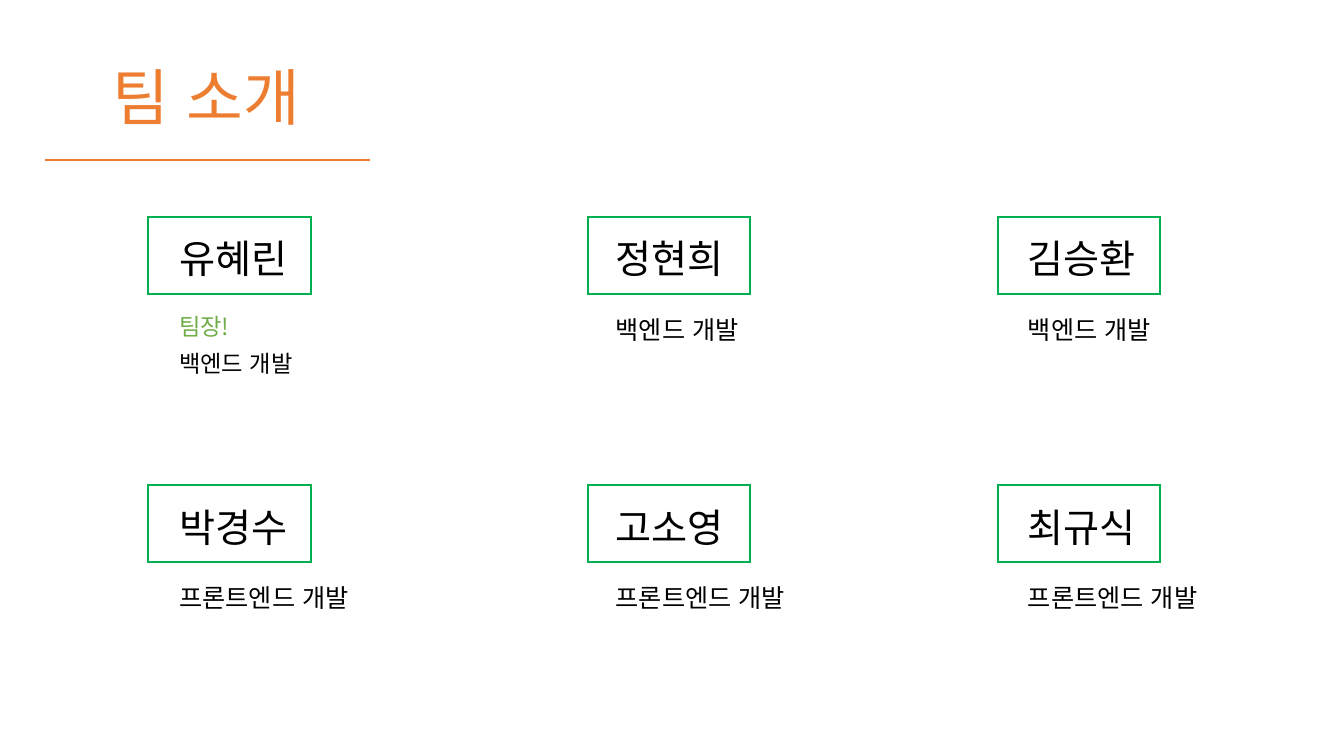
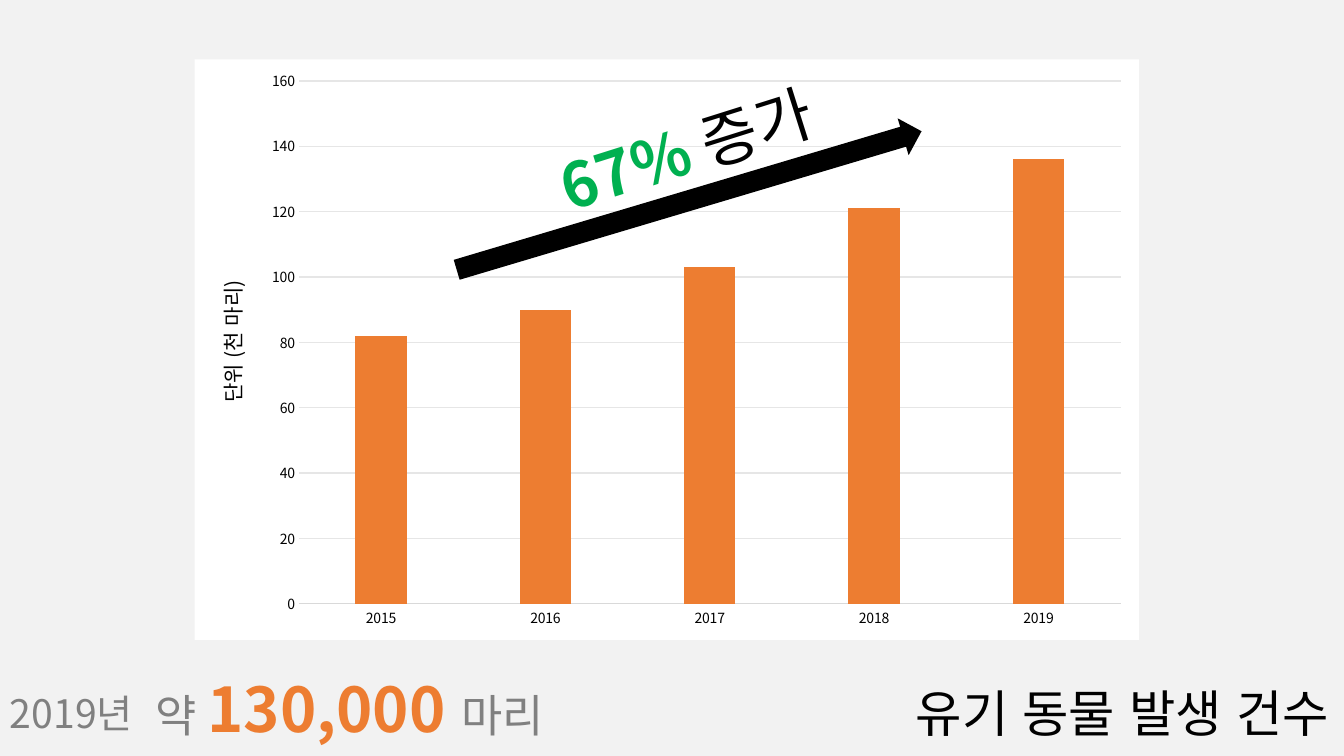
from dataclasses import dataclass

from lxml import etree
from pptx import Presentation
from pptx.chart.data import CategoryChartData
from pptx.dml.color import RGBColor
from pptx.enum.chart import XL_CHART_TYPE, XL_TICK_MARK
from pptx.enum.lang import MSO_LANGUAGE_ID
from pptx.enum.shapes import MSO_CONNECTOR, MSO_SHAPE
from pptx.enum.text import MSO_ANCHOR
from pptx.oxml import parse_xml
from pptx.oxml.ns import nsdecls, qn
from pptx.util import Pt

COLUMN = XL_CHART_TYPE.COLUMN_CLUSTERED
NO_TICK = XL_TICK_MARK.NONE
KOREAN = MSO_LANGUAGE_ID.KOREAN
STRAIGHT = MSO_CONNECTOR.STRAIGHT
RECTANGLE = MSO_SHAPE.RECTANGLE
RIGHT_ARROW = MSO_SHAPE.RIGHT_ARROW
TOP = MSO_ANCHOR.TOP
MIDDLE = MSO_ANCHOR.MIDDLE


@dataclass(frozen=True)
class Theme:
    """Colours, font and type sizes of the deck."""

    font: str = "Noto Sans CJK KR"
    white: str = "FFFFFF"
    pale: str = "F2F2F2"
    black: str = "000000"
    grey: str = "808080"
    silver: str = "A5A5A5"
    grid: str = "E6E6E6"
    axis: str = "D9D9D9"
    orange: str = "ED7D31"
    green: str = "00B050"
    leaf: str = "70AD47"
    gap: float = 48
    title: float = 44
    caption: float = 36
    unit: float = 32
    name: float = 28
    role: float = 18
    leader_role: float = 16.6
    axis_title: float = 15
    tick: float = 10


THEME = Theme()

COLUMNS = [(106, 121), (420, 432.7), (712.7, 727.2)]
ROWS = [(154.8, 167.3, 223.5), (346.2, 360, 415)]
MEMBERS = [
    [("유혜린", "백엔드 개발"), ("정현희", "백엔드 개발"), ("김승환", "백엔드 개발")],
    [("박경수", "프론트엔드 개발"), ("고소영", "프론트엔드 개발"), ("최규식", "프론트엔드 개발")],
]
LEADER = "유혜린"
YEARS = ["2015", "2016", "2017", "2018", "2019"]
SERIES = [
    ("Series 1", [82, 90, 103, 121, 136], THEME.orange),
    ("Series 2", [None] * len(YEARS), THEME.orange),
    ("Series 3", [None] * len(YEARS), THEME.silver),
]
CHART_BOUNDS = (139, 42.5, 674.5, 414.5)
PLOT_BOUNDS = (74.5, 15.3, 587, 373.5)
AXIS_TITLE_PLACE = (11.7, 155)


def rgb(value):
    """Return a colour object for a hex string."""
    return RGBColor.from_string(value)


def style_font(font, size, color, bold=False):
    """Set the deck font with a size, colour and weight."""
    font.name = THEME.font
    font.size = Pt(size)
    font.bold = bold
    font.color.rgb = rgb(color)
    font.language_id = KOREAN


def add_east_asian_font(element):
    """Repeat every Latin font setting for East Asian text."""
    for latin in list(element.iter(qn("a:latin"))):
        east_asian = etree.Element(qn("a:ea"))
        east_asian.set("typeface", THEME.font)
        latin.addnext(east_asian)


def add_slide(deck, background):
    """Add a blank slide with a plain background."""
    slide = deck.slides.add_slide(deck.slide_layouts[6])
    slide.background.fill.solid()
    slide.background.fill.fore_color.rgb = rgb(background)
    return slide


def add_text(slide, bounds, paragraphs, spacing=1.0, anchor=TOP, wrap=True, rotation=0):
    """Add a text box from paragraphs of (text, size, colour, bold) runs."""
    box = slide.shapes.add_textbox(*map(Pt, bounds))
    box.rotation = rotation
    frame = box.text_frame
    frame.word_wrap = wrap
    frame.vertical_anchor = anchor
    for index, runs in enumerate(paragraphs):
        paragraph = frame.add_paragraph() if index else frame.paragraphs[0]
        paragraph.line_spacing = spacing
        if index:
            paragraph.space_before = Pt(10)
        for text, *style in runs:
            run = paragraph.add_run()
            run.text = text
            style_font(run.font, *style)
    add_east_asian_font(box.element)


def add_name_frame(slide, left, top):
    """Add the green outline around a member's name."""
    frame = slide.shapes.add_shape(RECTANGLE, Pt(left), Pt(top), Pt(116), Pt(55))
    frame.shadow.inherit = False
    frame.fill.background()
    frame.line.color.rgb = rgb(THEME.green)
    frame.line.width = Pt(1.5)
    outline = frame.element.spPr.find(qn("a:ln"))
    etree.SubElement(outline, qn("a:miter")).set("lim", "800000")


def add_rule(slide, left, right, top):
    """Add the thin line under a title."""
    rule = slide.shapes.add_connector(STRAIGHT, Pt(left), Pt(top), Pt(right), Pt(top))
    rule.line.color.rgb = rgb(THEME.orange)
    rule.line.width = Pt(1)
    etree.SubElement(rule.element.spPr, qn("a:effectLst"))


def add_trend_arrow(slide, bounds, rotation):
    """Add the block arrow that rises over the columns."""
    arrow = slide.shapes.add_shape(RIGHT_ARROW, *map(Pt, bounds))
    arrow.shadow.inherit = False
    arrow.rotation = rotation
    arrow.adjustments[0] = 0.54
    arrow.adjustments[1] = 0.5
    arrow.fill.solid()
    arrow.fill.fore_color.rgb = rgb(THEME.black)
    arrow.line.fill.background()


def place_chart_part(part, index, bounds, **target):
    """Place a chart part by its bounds in points within the chart."""
    for automatic in part.findall(qn("c:layout")):
        part.remove(automatic)
    width, height = CHART_BOUNDS[2:]
    shares = [value / side for value, side in zip(bounds, (width, height) * 2)]
    settings = {**target, "xMode": "edge", "yMode": "edge", **dict(zip("xywh", shares))}
    layout = etree.Element(qn("c:layout"))
    manual = etree.SubElement(layout, qn("c:manualLayout"))
    for tag, value in settings.items():
        etree.SubElement(manual, qn(f"c:{tag}")).set("val", str(value))
    part.insert(index, layout)


def style_axis(axis):
    """Apply the shared tick and label style to an axis."""
    axis.major_tick_mark = NO_TICK
    axis.minor_tick_mark = NO_TICK
    style_font(axis.tick_labels.font, THEME.tick, THEME.black)


def style_value_axis(axis, title):
    """Style the value axis with its grid, scale and upright title."""
    style_axis(axis)
    axis.minimum_scale, axis.maximum_scale, axis.major_unit = 0, 160, 20
    axis.format.line.fill.background()
    axis.major_gridlines.format.line.color.rgb = rgb(THEME.grid)
    axis.major_gridlines.format.line.width = Pt(1)
    run = axis.axis_title.text_frame.paragraphs[0].add_run()
    run.text = title
    style_font(run.font, THEME.axis_title, THEME.black)
    title_element = axis.axis_title.element
    title_element.find(".//" + qn("a:bodyPr")).set("rot", "-5400000")
    place_chart_part(title_element, 1, AXIS_TITLE_PLACE)


def add_stray_chart(slide):
    """Add the column chart of stray animals by year."""
    data = CategoryChartData()
    data.categories = YEARS
    for name, values, _ in SERIES:
        data.add_series(name, values)
    chart = slide.shapes.add_chart(COLUMN, *map(Pt, CHART_BOUNDS), data).chart
    chart.has_legend = False
    chart.has_title = False
    style_font(chart.font, THEME.tick, THEME.black)
    plot = chart.plots[0]
    plot.vary_by_categories = False
    plot.gap_width = 219
    plot.overlap = 100
    for series, (_, _, color) in zip(plot.series, SERIES):
        series.format.fill.solid()
        series.format.fill.fore_color.rgb = rgb(color)
    style_axis(chart.category_axis)
    chart.category_axis.format.line.color.rgb = rgb(THEME.axis)
    chart.category_axis.format.line.width = Pt(0.75)
    style_value_axis(chart.value_axis, "단위 (천 마리)")
    plot_area = chart.element.find(".//" + qn("c:plotArea"))
    place_chart_part(plot_area, 0, PLOT_BOUNDS, layoutTarget="inner")
    chart.element.find(qn("c:chart")).addnext(parse_xml(
        f'<c:spPr {nsdecls("c", "a")}><a:solidFill><a:srgbClr val="{THEME.white}"/>'
        "</a:solidFill><a:ln><a:noFill/></a:ln></c:spPr>"
    ))
    add_east_asian_font(chart.element)


def add_member(slide, name, role, column, row):
    """Add one team member with a framed name and a role."""
    frame_left, text_left = column
    frame_top, name_top, role_top = row
    add_name_frame(slide, frame_left, frame_top)
    add_text(slide, (text_left, name_top, 104, 41),
             [[(name, THEME.name, THEME.black)]], spacing=0.9)
    size, spacing, roles = THEME.role, 0.9, [(role, THEME.black)]
    if name == LEADER:
        size, spacing = THEME.leader_role, 0.8
        roles.insert(0, ("팀장!", THEME.leaf))
    add_text(slide, (text_left, role_top, 220, 52),
             [[(text, size, color)] for text, color in roles], spacing=spacing)


def build_team(deck):
    """Build the slide that introduces the team."""
    slide = add_slide(deck, THEME.white)
    add_text(slide, (73.5, 43.5, 235, 56), [[("팀 소개", THEME.title, THEME.orange)]],
             spacing=0.9, anchor=MIDDLE)
    add_rule(slide, 32, 264, 114.2)
    for row, members in zip(ROWS, MEMBERS):
        for column, (name, role) in zip(COLUMNS, members):
            add_member(slide, name, role, column, row)


def build_strays(deck):
    """Build the slide on the growing number of stray animals."""
    slide = add_slide(deck, THEME.pale)
    add_text(slide, (647, 484, 310, 51),
             [[("유기 동물 발생 건수", THEME.caption, THEME.black)]], wrap=False)
    add_stray_chart(slide)
    add_trend_arrow(slide, (319, 129.5, 346.5, 27.5), 343.4)
    add_text(slide, (390, 73.5, 217, 60.5), [[
        ("67% ", THEME.title, THEME.green, True),
        ("증가", THEME.title, THEME.black),
    ]], wrap=False, rotation=342.5)
    add_text(slide, (0, 489, 126, 41), [[("2019년", THEME.name, THEME.grey)]])
    add_text(slide, (103.8, 471.5, 353, 65.5), [[
        ("약", THEME.unit, THEME.grey),
        (" ", THEME.name, THEME.grey, True),
        ("130,000", THEME.title, THEME.orange, True),
        (" ", THEME.gap, THEME.orange, True),
        ("마리", THEME.unit, THEME.grey),
    ]])


def main():
    """Build and save the deck."""
    deck = Presentation()
    deck.slide_width, deck.slide_height = Pt(960), Pt(540)
    build_team(deck)
    build_strays(deck)
    deck.save("out.pptx")


if __name__ == "__main__":
    main()
